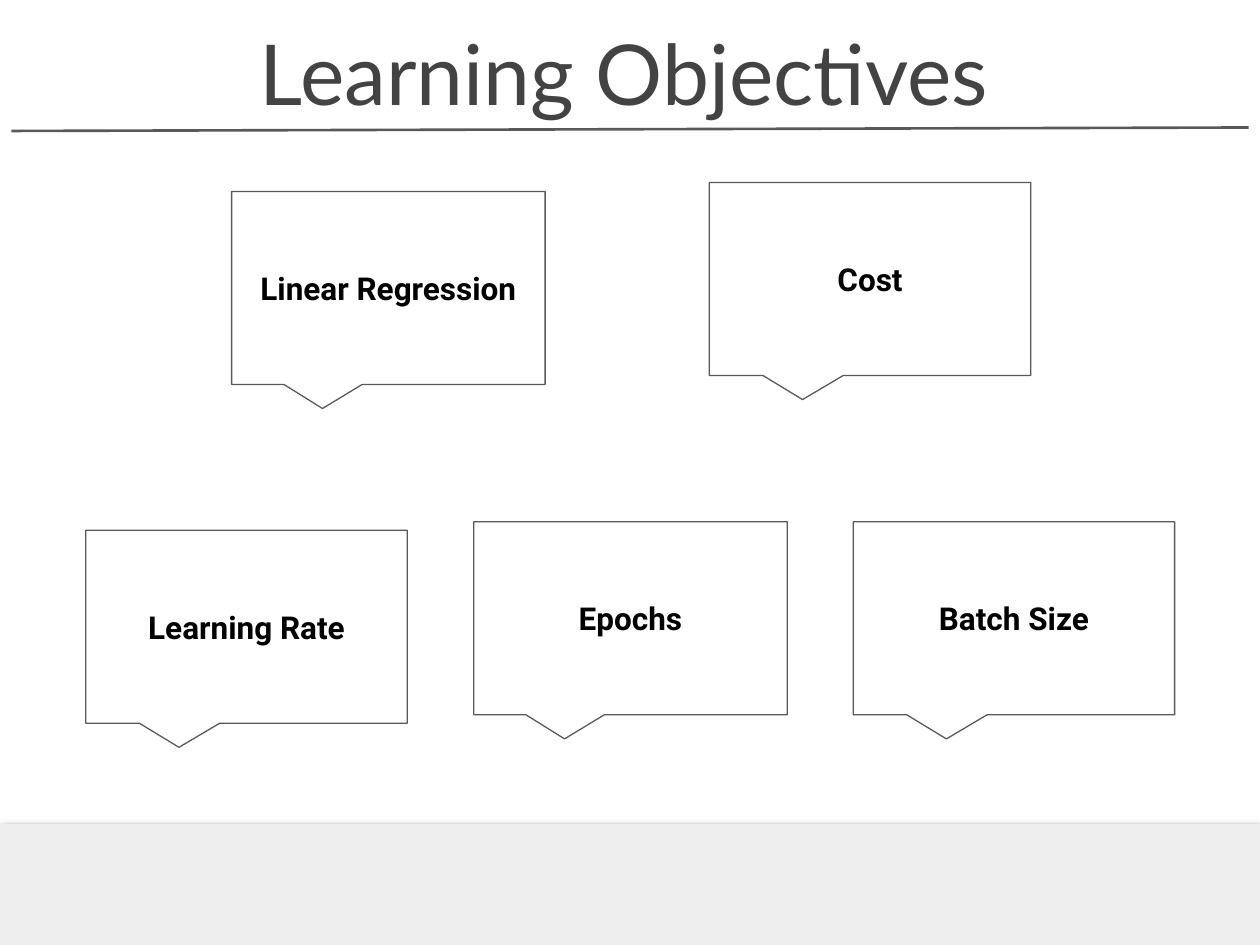
from lxml import etree
from pptx import Presentation
from pptx.dml.color import RGBColor
from pptx.enum.shapes import MSO_CONNECTOR, MSO_SHAPE
from pptx.enum.text import MSO_ANCHOR, PP_ALIGN
from pptx.oxml import parse_xml
from pptx.oxml.ns import nsdecls, qn
from pptx.util import Cm, Pt

BLACK = RGBColor(0x00, 0x00, 0x00)
TITLE_GRAY = RGBColor(0x43, 0x43, 0x43)
LINE_GRAY = RGBColor(0x59, 0x59, 0x59)
FOOTER_GRAY = RGBColor(0xEE, 0xEE, 0xEE)

WIDE, NARROW = 6.48, 6.32
CALLOUT_HEIGHT = 3.89
TOPICS = [  # text, left, top, width in cm
    ("Linear Regression", 4.67, 3.86, NARROW),
    ("Cost", 14.3, 3.68, WIDE),
    ("Epochs", 9.55, 10.52, NARROW),
    ("Learning Rate", 1.73, 10.69, WIDE),
    ("Batch Size", 17.2, 10.52, WIDE),
]


def set_text(sp, text, *, font, size, color, bold=False,
             anchor=MSO_ANCHOR.MIDDLE, align=PP_ALIGN.CENTER):
    tf = sp.text_frame
    tf.word_wrap = True
    tf.vertical_anchor = anchor
    tf.margin_left = tf.margin_right = Cm(0.25)
    tf.margin_top = tf.margin_bottom = Cm(0.25)
    p = tf.paragraphs[0]
    p.alignment = align
    r = p.add_run()
    r.text = text
    r.font.name = font
    r.font.size = Pt(size)
    r.font.bold = bold
    r.font.color.rgb = color


def add_rule(s, x1, y1, x2, y2):
    line = s.shapes.add_connector(MSO_CONNECTOR.STRAIGHT,
                                  Cm(x1), Cm(y1), Cm(x2), Cm(y2))
    line.line.color.rgb = LINE_GRAY
    line.line.width = Pt(1.5)
    etree.SubElement(line._element.spPr, qn("a:effectLst"))


def add_footer(s, left, top, width, height):
    """Add the gray band with a soft shadow along its edge."""
    sp = s.shapes.add_shape(MSO_SHAPE.RECTANGLE,
                            Cm(left), Cm(top), Cm(width), Cm(height))
    sp.fill.solid()
    sp.fill.fore_color.rgb = FOOTER_GRAY
    sp.line.fill.background()
    sp._element.spPr.append(parse_xml(
        f'<a:effectLst {nsdecls("a")}>'
        f'<a:outerShdw blurRad="{Pt(4.5)}" dist="{Pt(1.5)}" dir="5400000" '
        'algn="bl" rotWithShape="0"><a:srgbClr val="000000">'
        '<a:alpha val="50000"/></a:srgbClr></a:outerShdw></a:effectLst>'))


def add_title(s, text, left, top, width, height):
    sp = s.shapes.add_textbox(Cm(left), Cm(top), Cm(width), Cm(height))
    set_text(sp, text, font="Lato", size=48, color=TITLE_GRAY,
             anchor=MSO_ANCHOR.BOTTOM)


def add_callout(s, text, left, top, width):
    sp = s.shapes.add_shape(MSO_SHAPE.ROUNDED_RECTANGULAR_CALLOUT,
                            Cm(left), Cm(top), Cm(width), Cm(CALLOUT_HEIGHT))
    for i, value in enumerate((-0.21, 0.625, 0)):
        sp.adjustments[i] = value
    sp.shadow.inherit = False
    sp.fill.background()
    sp.line.color.rgb = LINE_GRAY
    sp.line.width = Pt(0.75)
    set_text(sp, text, font="Roboto", size=18, color=BLACK, bold=True)


def main():
    prs = Presentation()
    prs.slide_width, prs.slide_height = Cm(25.4), Cm(19.05)
    s = prs.slides.add_slide(prs.slide_layouts[6])
    add_rule(s, 0.23, 2.64, 25.17, 2.57)
    add_footer(s, 0, 16.61, 25.4, 2.57)
    add_title(s, "Learning Objectives", 3.3, 0.48, 18.57, 2.24)
    for topic in TOPICS:
        add_callout(s, *topic)
    prs.save("out.pptx")


if __name__ == "__main__":
    main()
